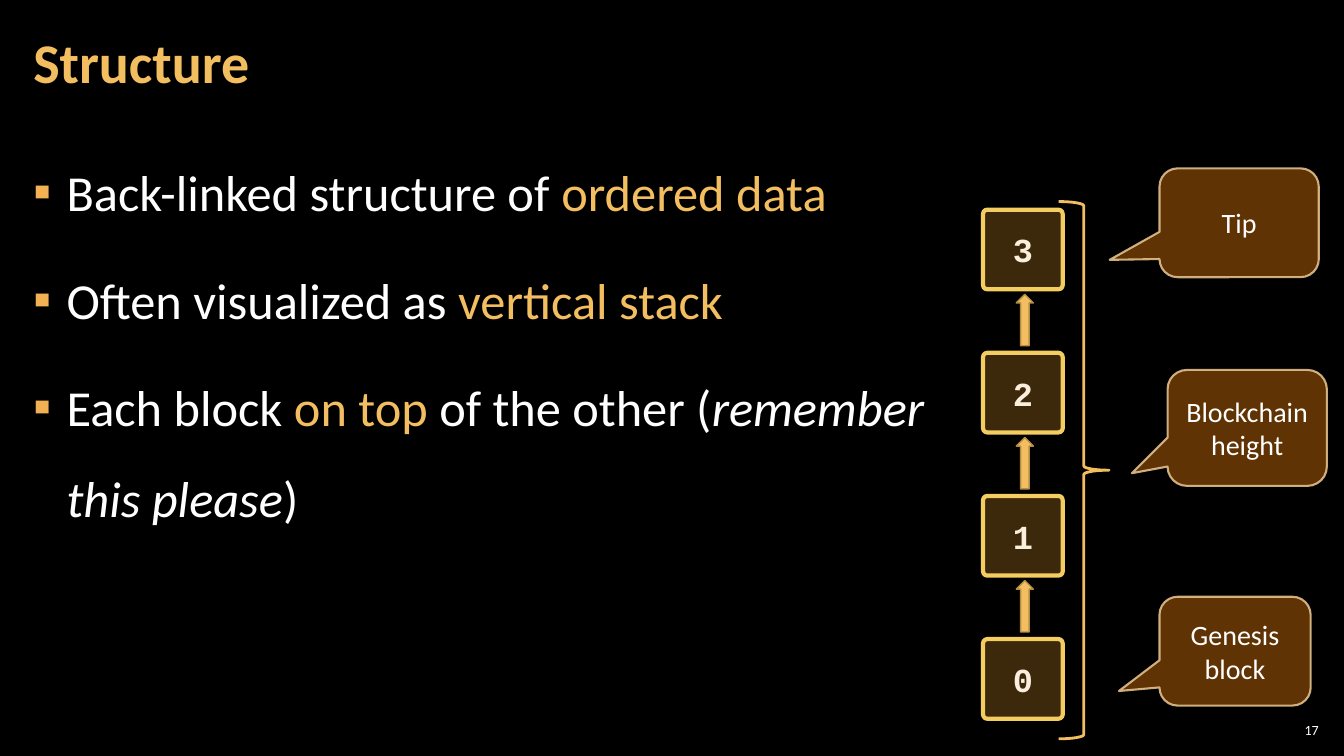
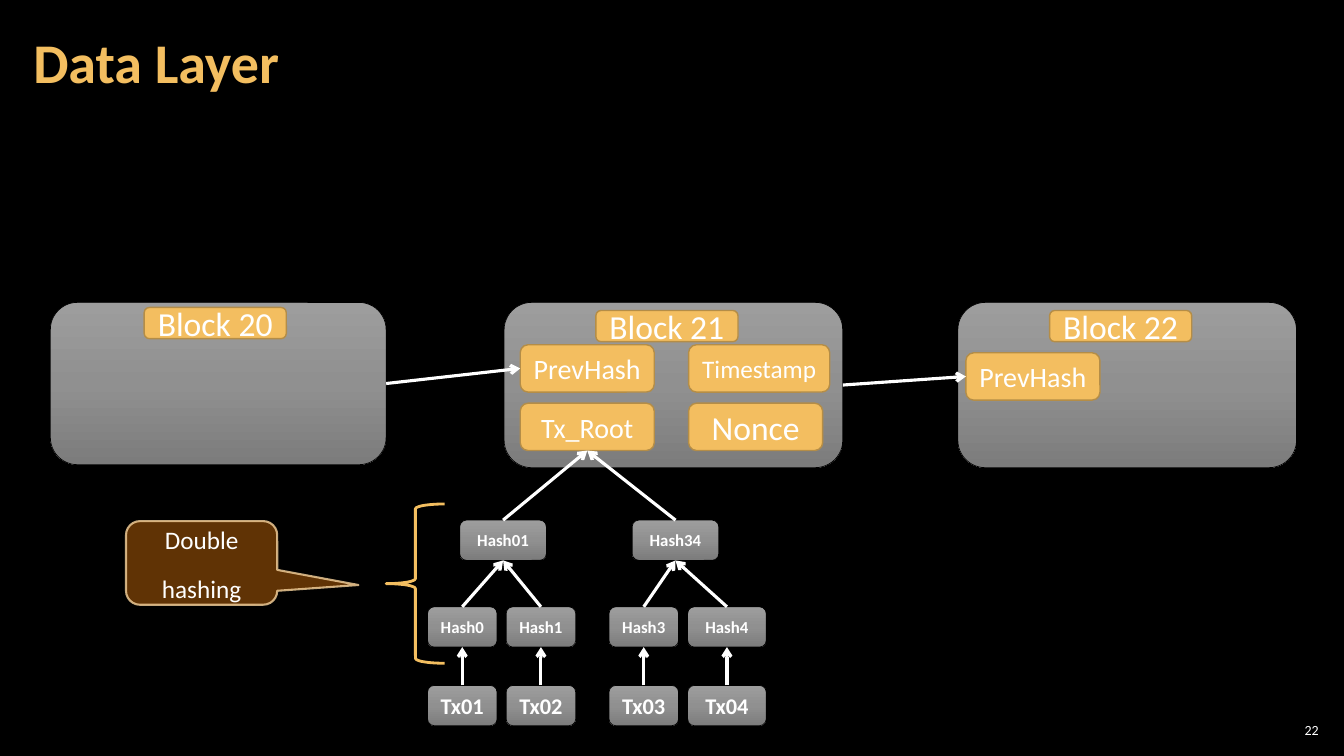
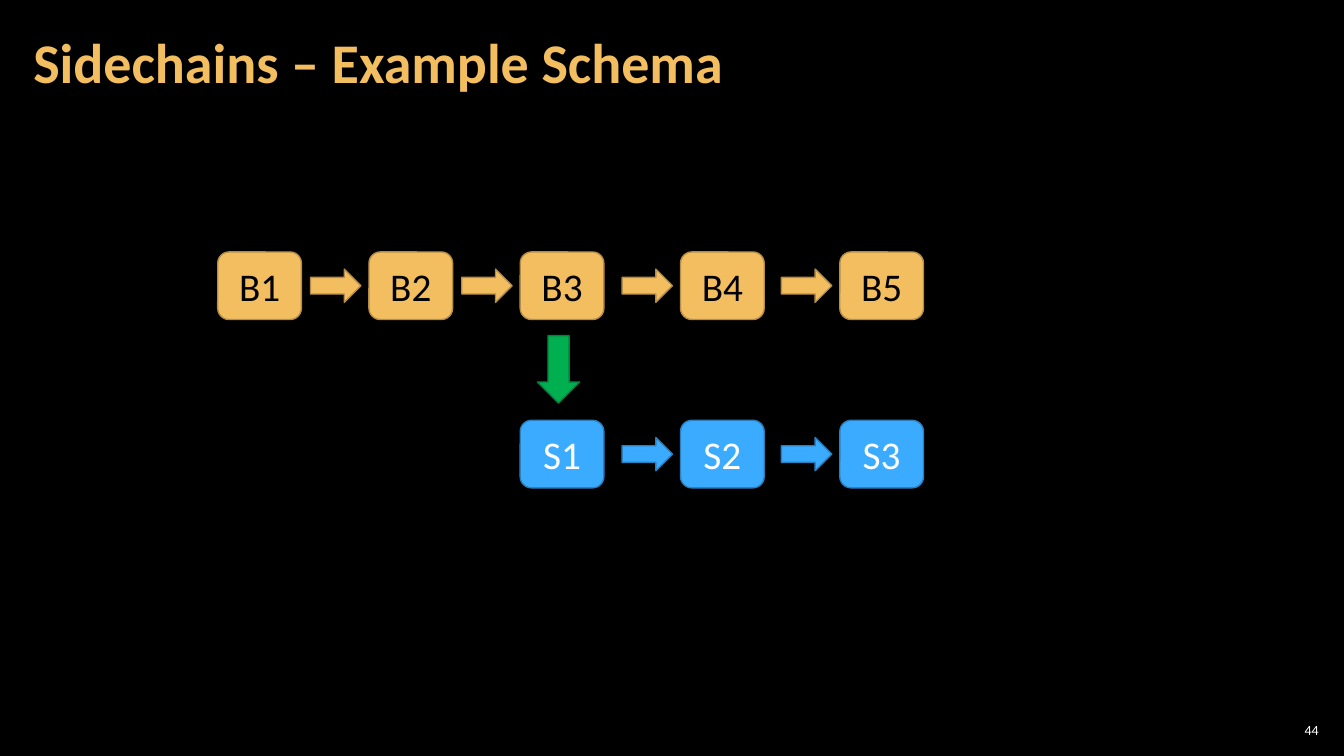
import copy
import pptx
import pptx.util
import pptx.dml.color
import pptx.enum.shapes
import pptx.enum.text
import pptx.oxml
import pptx.oxml.ns
import lxml.etree

Inches, Pt = pptx.util.Inches, pptx.util.Pt
KIND = pptx.enum.shapes.MSO_SHAPE
ALIGN = pptx.enum.text.PP_ALIGN
MID = pptx.enum.text.MSO_ANCHOR.MIDDLE
qn = pptx.oxml.ns.qn

# Shared look
HUE = {
    "back": "000000", "white": "FFFFFF", "gold": "F3BE60", "edge": "B48D47",
    "amber": "F0A22E", "frame": "F3CD60", "cream": "FBEEDC", "brown": "663606",
    "sand": "F8D49E", "mark": "F2B254", "blue": "3BABFF", "navy": "2C7FBD",
    "ice": "FDFFFF", "green": "00B050", "pine": "00823B",
    "top": "9D9D9D", "mid": "909090", "low": "7C7C7C",
}
FONT = "Calibri"

# Content: slide 1
POINTS = [
    [("Back-linked structure of ", ""), ("ordered data", "gold")],
    [("Often visualized as ", ""), ("vertical stack", "gold")],
    [("Each block ", ""), ("on top", "gold"), (" of the other (", ""),
     ("remember this please", "italic"), (")", "")],
]
STACK = ["3", "2", "1", "0"]
NOTES = [  # lines, box, pointer
    (["Tip"], (11.5, 1.67, 1.58, 1.08), (-0.813, 0.341)),
    (["Blockchain", "height"], (11.58, 3.67, 1.58, 1.15), (-0.724, 0.391)),
    (["Genesis block"], (11.5, 5.92, 1.5, 1.08), (-0.768, 0.366)),
]

# Content: slide 2
BLOCKS = [  # box, name, name left, name top
    ((0.5, 3, 3.33, 1.61), "Block 20", 1.43, 3.05),
    ((5, 3, 3.36, 1.64), "Block 21", 5.91, 3.08),
    ((9.5, 3, 3.36, 1.64), "Block 22", 10.41, 3.08),
]
FIELDS = [  # key, text, left, top, width, size
    ("prev21", "PrevHash", 5.16, 3.42, 1.33, 20),
    ("time", "Timestamp", 6.83, 3.42, 1.4, 18),
    ("root", "Tx_Root", 5.16, 4, 1.33, 20),
    ("nonce", "Nonce", 6.83, 4, 1.33, 24),
    ("prev22", "PrevHash", 9.58, 3.5, 1.33, 20),
]
LEAVES = [  # left, width, transaction, hash, parent
    (4.24, 0.69, "Tx01", "Hash0", "Hash01"),
    (5.02, 0.69, "Tx02", "Hash1", "Hash01"),
    (6.04, 0.69, "Tx03", "Hash3", "Hash34"),
    (6.82, 0.78, "Tx04", "Hash4", "Hash34"),
]
PAIRS = [("Hash01", 4.56), ("Hash34", 6.27)]

# Content: slide 3
COLS = [2.16, 3.66, 5.16, 6.75, 8.33]
CHAINS = [  # letter, first column, top, fill, line, text
    ("B", 0, 2.5, "gold", "edge", "back"),
    ("S", 2, 4.17, "blue", "navy", "ice"),
]


def rgb(name):
    return pptx.dml.color.RGBColor.from_string(HUE[name])


def fade(node, pct):
    """Set the opacity of the first colour inside a node."""
    tone = next(node.iter(qn("a:srgbClr")))
    lxml.etree.SubElement(tone, qn("a:alpha")).set("val", str(pct * 1000))


def style(par, size, tone="white", bold=False, face=FONT):
    font = par.font
    font.name, font.size, font.bold = face, Pt(size), bold
    font.color.rgb = rgb(tone)


def draw(slide, kind, box, fill=None, line="edge", width=1):
    item = slide.shapes.add_shape(kind, *map(Inches, box))
    item.shadow.inherit = False
    if fill:
        item.fill.solid()
        item.fill.fore_color.rgb = rgb(fill)
    else:
        item.fill.background()
    item.line.color.rgb = rgb(line)
    item.line.width = Pt(width)
    return item


def label(item, lines, size, tone="white", **more):
    frame = item.text_frame
    frame.text = "\n".join(lines)
    frame.vertical_anchor = MID
    frame.word_wrap = True
    for par in frame.paragraphs:
        par.alignment = ALIGN.CENTER
        style(par, size, tone, **more)
    return item


def gray(slide, box):
    item = draw(slide, KIND.ROUNDED_RECTANGLE, box, "mid", "back", 0.5)
    item.fill.gradient()
    item.fill.gradient_angle = 270
    first, last = item.fill.gradient_stops
    first.color.rgb, last.color.rgb = rgb("top"), rgb("low")
    first.position, last.position = 0, 1
    stops = next(item.element.iter(qn("a:gsLst")))
    half = copy.deepcopy(stops[0])
    half.set("pos", "50000")
    half[0].set("val", HUE["mid"])
    stops.insert(1, half)
    return item


def callout(slide, lines, box, tip, size=20):
    item = draw(slide, KIND.ROUNDED_RECTANGULAR_CALLOUT, box, "brown", "sand", 1.5)
    for i, val in enumerate((*tip, 0.167)):
        item.adjustments[i] = val
    props = item.element.spPr
    fade(props.find(qn("a:solidFill")), 95)
    fade(props.find(qn("a:ln")), 80)
    return label(item, lines, size)


def arrow(slide, start, end, out=0, into=2):
    """Join two boxes; sites run top, left, bottom, right."""
    link = slide.shapes.add_connector(pptx.enum.shapes.MSO_CONNECTOR.STRAIGHT, 0, 0, 0, 0)
    link.begin_connect(start, out)
    link.end_connect(end, into)
    link.line.color.rgb = rgb("white")
    link.line.width = Pt(2.25)
    props = link.element.spPr
    lxml.etree.SubElement(props.find(qn("a:ln")), qn("a:tailEnd")).set("type", "arrow")
    lxml.etree.SubElement(props, qn("a:effectLst"))


def place(item, box):
    item.left, item.top, item.width, item.height = map(Inches, box)
    frame = item.text_frame
    frame.auto_size = pptx.enum.text.MSO_AUTO_SIZE.NONE
    frame.word_wrap = True
    frame.margin_left = frame.margin_right = Inches(0.12)
    frame.margin_top = frame.margin_bottom = Inches(0.04)
    return frame


def start(deck, title, number, layout=5):
    slide = deck.slides.add_slide(deck.slide_layouts[layout])
    frame = place(slide.shapes.title, (0.21, 0.04, 10.47, 1.21))
    frame.text, frame.vertical_anchor = title, MID
    par = frame.paragraphs[0]
    par.alignment, par.line_spacing = ALIGN.LEFT, 0.9
    style(par, 40, "gold", bold=True)
    page = slide.shapes.add_textbox(0, 0, 0, 0)
    frame = place(page, (12.65, 7.14, 0.47, 0.21))
    frame.margin_left = frame.margin_right = Inches(0.04)
    frame.text, frame.vertical_anchor = number, MID
    frame.paragraphs[0].alignment = ALIGN.RIGHT
    style(frame.paragraphs[0], 10)
    return slide


def bullet(par):
    props = par._p.get_or_add_pPr()
    props.set("marL", str(Inches(0.33)))
    props.set("indent", str(-Inches(0.33)))
    tone = lxml.etree.SubElement(props, qn("a:buClr"))
    lxml.etree.SubElement(tone, qn("a:srgbClr")).set("val", HUE["mark"])
    lxml.etree.SubElement(props, qn("a:buFont")).set("typeface", FONT)
    lxml.etree.SubElement(props, qn("a:buChar")).set("char", "▪")


def structure(deck):
    slide = start(deck, "Structure", "17", layout=1)
    frame = place(slide.placeholders[1], (0.21, 1.26, 9.21, 6.09))
    for i, parts in enumerate(POINTS):
        par = frame.add_paragraph() if i else frame.paragraphs[0]
        bullet(par)
        par.line_spacing = 1.5
        par.space_before, par.space_after = Pt(6 if i else 0), Pt(6)
        style(par, 36)
        for text, look in parts:
            run = par.add_run()
            run.text = text
            if look == "italic":
                run.font.italic = True
            elif look:
                run.font.color.rgb = rgb(look)
    # Stack of blocks
    for i, text in enumerate(STACK):
        top = 2.08 + 1.42 * i
        block = draw(slide, KIND.ROUNDED_RECTANGLE, (9.75, top, 0.79, 0.79),
                     "amber", "frame", 3)
        block.adjustments[0] = 0.053
        fade(block.element.spPr.find(qn("a:solidFill")), 25)
        label(block, [text], 24, "cream", bold=True, face="Courier New")
        if i < len(STACK) - 1:
            draw(slide, KIND.UP_ARROW, (10.08, top + 0.84, 0.17, 0.51), "gold")
    draw(slide, KIND.RIGHT_BRACE, (10.5, 2, 0.5, 5.33), line="gold", width=2)
    for note in NOTES:
        callout(slide, *note)


def layer(deck):
    slide = start(deck, "Data Layer", "22")
    # Blocks and their fields
    blocks = []
    for box, name, left, top in BLOCKS:
        blocks.append(gray(slide, box))
        tag = draw(slide, KIND.ROUNDED_RECTANGLE, (left, top, 1.41, 0.31), "gold")
        label(tag, [name], 24)
    nodes = {}
    for key, text, left, top, width, size in FIELDS:
        box = (left, top, width, 0.47)
        nodes[key] = label(draw(slide, KIND.ROUNDED_RECTANGLE, box, "gold"), [text], size)
    arrow(slide, blocks[0], nodes["prev21"], 3, 1)
    arrow(slide, blocks[1], nodes["prev22"], 3, 1)
    # Hash tree
    for name, left in PAIRS:
        nodes[name] = label(gray(slide, (left, 5.16, 0.86, 0.4)), [name], 12, bold=True)
        arrow(slide, nodes[name], nodes["root"])
    for left, width, deal, code, above in LEAVES:
        leaf = label(gray(slide, (left, 6.8, width, 0.4)), [deal], 16, bold=True)
        node = label(gray(slide, (left, 6.02, width, 0.4)), [code], 12, bold=True)
        arrow(slide, leaf, node)
        arrow(slide, node, nodes[above])
    draw(slide, KIND.LEFT_BRACE, (3.83, 5, 0.58, 1.58), line="gold", width=2)
    note = callout(slide, ["Double", "hashing"], (1.25, 5.17, 1.5, 0.83), (1.037, 0.264), 18)
    for par in note.text_frame.paragraphs:
        par.line_spacing = 1.05
    par.space_before = Pt(12)


def schema(deck):
    slide = start(deck, "Sidechains – Example Schema", "44")
    for letter, first, top, fill, line, tone in CHAINS:
        for i, left in enumerate(COLS[first:]):
            block = draw(slide, KIND.ROUNDED_RECTANGLE, (left, top, 0.83, 0.67), fill, line)
            label(block, [f"{letter}{i + 1}"], 28, tone)
            if i:
                draw(slide, KIND.RIGHT_ARROW, (left - 0.58, top + 0.17, 0.5, 0.33), fill, line)
    draw(slide, KIND.DOWN_ARROW, (5.33, 3.33, 0.42, 0.67), "green", "pine")


def main():
    deck = pptx.Presentation()
    deck.slide_width, deck.slide_height = Inches(13.33), Inches(7.5)
    back = deck.slide_master.background.fill
    back.solid()
    back.fore_color.rgb = rgb("back")
    structure(deck)
    layer(deck)
    schema(deck)
    deck.save("out.pptx")


if __name__ == "__main__":
    main()
